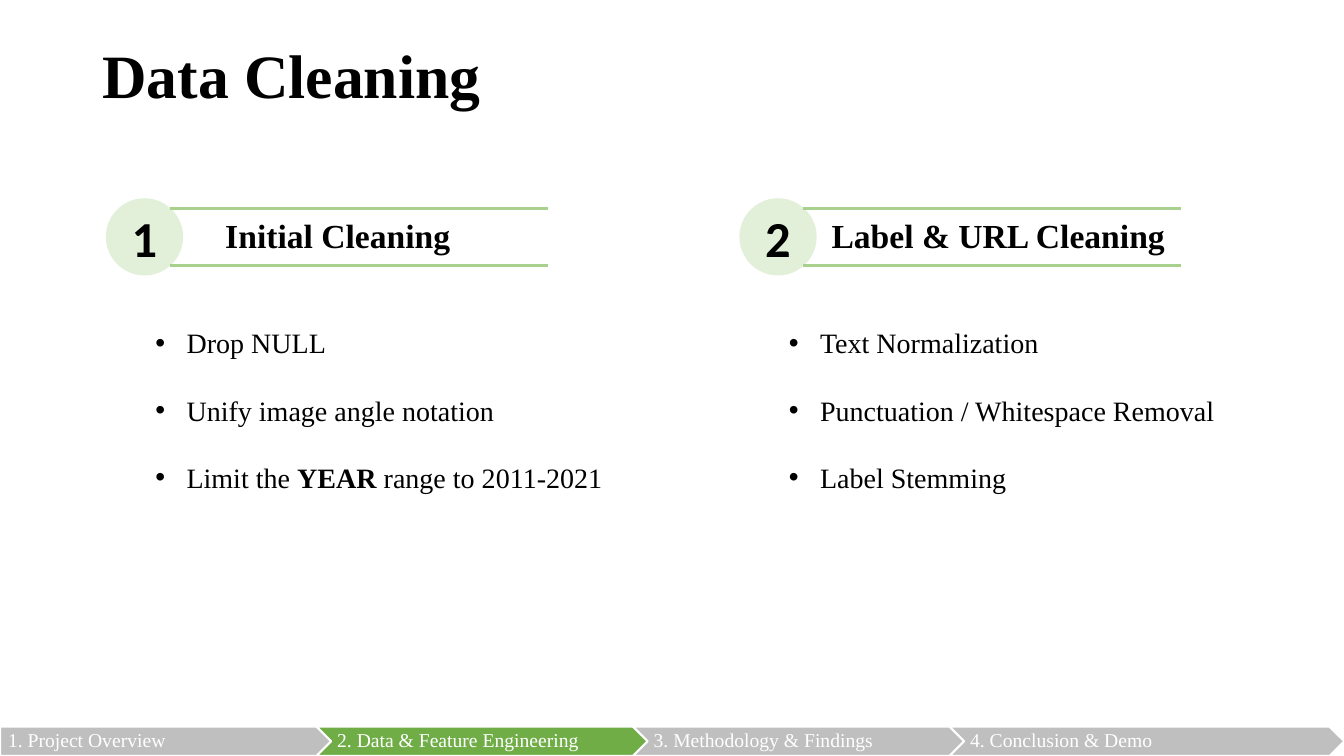
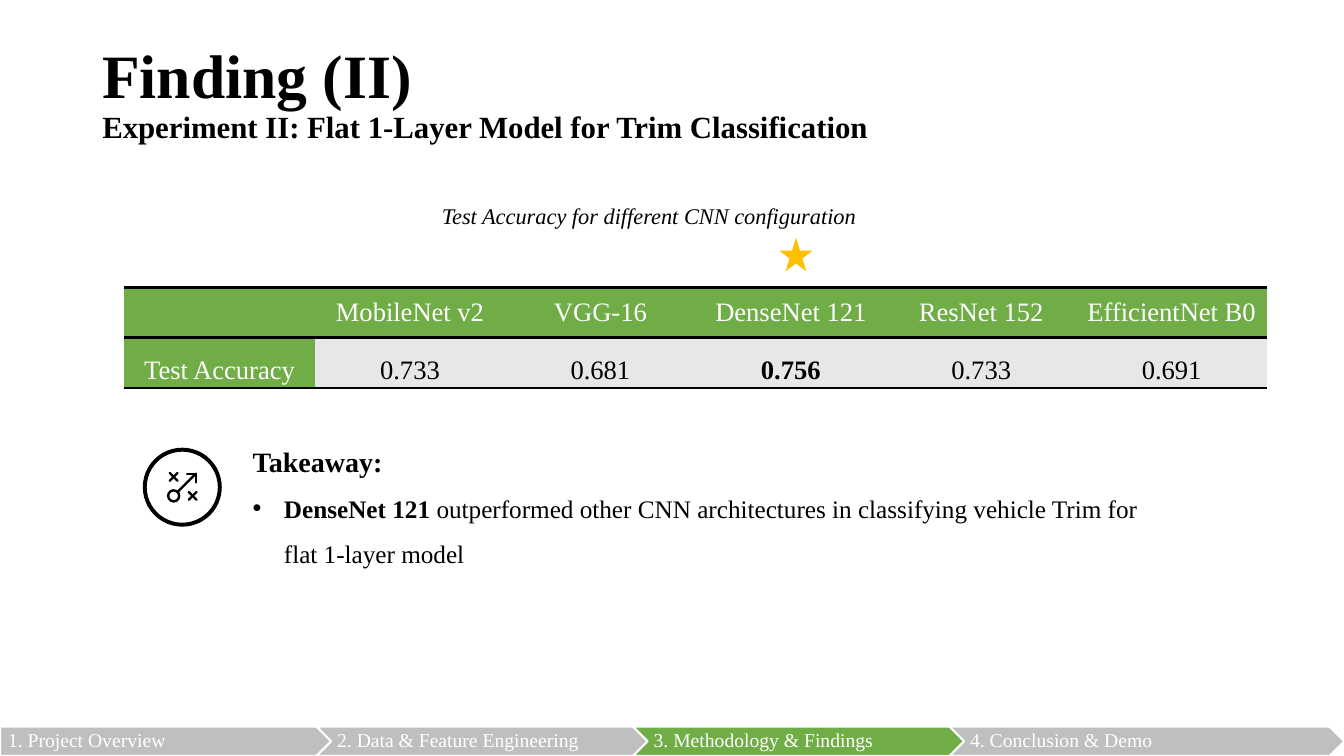
from dataclasses import dataclass

from lxml.etree import SubElement
from pptx import Presentation
from pptx.dml.color import RGBColor
from pptx.enum.shapes import MSO_CONNECTOR, MSO_SHAPE
from pptx.enum.text import MSO_ANCHOR, PP_ALIGN
from pptx.oxml.ns import qn
from pptx.util import Inches, Pt


@dataclass(frozen=True)
class Theme:
    serif: str = "Times New Roman"
    sans: str = "Calibri"
    black: str = "000000"
    white: str = "FFFFFF"
    grey: str = "BFBFBF"
    pale_grey: str = "E7E7E7"
    green: str = "70AD47"
    mid_green: str = "A9D18E"
    pale_green: str = "E2F0D9"
    gold: str = "FFC000"
    title: int = 44
    badge: int = 36
    heading: int = 24
    subtitle: int = 22
    body: int = 20
    cell: int = 19
    detail: int = 18
    caption: int = 16
    footer: int = 14


@dataclass(frozen=True)
class Box:
    x: float
    y: float
    w: float
    h: float

    def inner(self, x, y, w, h):
        return Box(self.x + x, self.y + y, w, h)

    def share(self, x, y, w=0, h=0):
        return self.inner(x * self.w, y * self.h, w * self.w, h * self.h)

    def emu(self):
        return [grid(v) for v in (self.x, self.y, self.w, self.h)]


T = Theme()
WIDTH, HEIGHT = Inches(13.33), Inches(7.5)
COLS, ROWS = 160, 90
STAGES = ["1. Project Overview", "2. Data & Feature Engineering",
          "3. Methodology & Findings", "4. Conclusion & Demo"]
PLAIN_TABLE = "{2D5ABB26-0587-4C30-8999-92F81FD0307C}"


def grid(units):
    return round(units * HEIGHT / ROWS)


def rgb(color):
    return RGBColor.from_string(color)


def style(r, size, color=T.black, bold=False, italic=False, font=T.serif):
    r.font.name, r.font.size = font, Pt(size)
    r.font.bold, r.font.italic = bold, italic
    r.font.color.rgb = rgb(color)


def write(p, text, size, align=PP_ALIGN.LEFT, **look):
    p.text = text
    p.alignment = align
    for r in p.runs:
        style(r, size, **look)


def write_bullet(p, pieces, size, spacing):
    p.line_spacing = spacing
    pPr = p._p.get_or_add_pPr()
    pPr.set("marL", str(Inches(0.31)))
    pPr.set("indent", str(-Inches(0.31)))
    SubElement(pPr, qn("a:buFont")).set("typeface", "Arial")
    SubElement(pPr, qn("a:buChar")).set("char", "•")
    for text, bold in pieces:
        r = p.add_run()
        r.text = text
        style(r, size, bold=bold)


def add_text(s, box):
    tf = s.shapes.add_textbox(*box.emu()).text_frame
    tf.word_wrap = True
    return tf


def add_shape(s, kind, box, fill=None, line=None, weight=1.5):
    sp = s.shapes.add_shape(kind, *box.emu())
    sp.shadow.inherit = False
    if fill:
        sp.fill.solid()
        sp.fill.fore_color.rgb = rgb(fill)
    else:
        sp.fill.background()
    if line:
        sp.line.color.rgb = rgb(line)
        sp.line.width = Pt(weight)
    else:
        sp.line.fill.background()
    return sp


def add_line(s, start, end, color, weight, cap="flat"):
    ln = s.shapes.add_connector(MSO_CONNECTOR.STRAIGHT, grid(start.x), grid(start.y),
                                grid(end.x), grid(end.y))
    ln.line.color.rgb = rgb(color)
    ln.line.width = Pt(weight)
    ln.line._get_or_add_ln().set("cap", cap)
    SubElement(ln._element.spPr, qn("a:effectLst"))


def add_title(s, box, title, subtitle=None):
    p = add_text(s, box).paragraphs[0]
    write(p, f"{title}\v{subtitle}" if subtitle else title, T.title, bold=True)
    p.line_spacing = 0.9
    if subtitle:
        p.runs[-1].font.size = Pt(T.subtitle)


def add_footer(s, box, active):
    arrow_w = 47
    step = (box.w - arrow_w) / (len(STAGES) - 1)
    for i, stage in enumerate(STAGES):
        kind = MSO_SHAPE.CHEVRON if i else MSO_SHAPE.PENTAGON
        sp = add_shape(s, kind, box.inner(i * step, 0, arrow_w, box.h),
                       T.green if i == active else T.grey, T.white)
        tf = sp.text_frame
        tf.vertical_anchor = MSO_ANCHOR.MIDDLE
        tf.margin_left = Inches(0.06 if i else 0.08)
        tf.margin_right = Inches(0.02)
        tf.margin_top = tf.margin_bottom = Inches(0.04)
        write(tf.paragraphs[0], stage, T.footer, color=T.white)
        tf.paragraphs[0].line_spacing = 0.9


def add_section(s, box, number, heading, heading_x, heading_w, items):
    badge = add_shape(s, MSO_SHAPE.OVAL, box.inner(0, 0, 9.2, 9.2), T.pale_green)
    badge.text_frame.vertical_anchor = MSO_ANCHOR.MIDDLE
    write(badge.text_frame.paragraphs[0], str(number), T.badge, PP_ALIGN.CENTER,
          bold=True, font=T.sans)
    for y in (1.2, 8):
        add_line(s, box.inner(7.6, y, 0, 0), box.inner(52.6, y, 0, 0), T.mid_green, 2.25)
    tf = add_text(s, box.inner(heading_x, 1.4, heading_w, 6.6))
    write(tf.paragraphs[0], heading, T.heading, PP_ALIGN.CENTER, bold=True)
    tf = add_text(s, box.inner(4.7, 10.6, box.w - 4.7, box.h - 10.6))
    for i, pieces in enumerate(items):
        p = tf.add_paragraph() if i else tf.paragraphs[0]
        write_bullet(p, pieces, T.body, 2)


def add_border(cell, side):
    ln = SubElement(cell._tc.get_or_add_tcPr(), qn(f"a:{side}"), w=str(Pt(2)))
    SubElement(SubElement(ln, qn("a:solidFill")), qn("a:srgbClr")).set("val", T.black)


def add_results(s, box, rows, best):
    frame = s.shapes.add_table(len(rows), len(rows[0]), *box.emu())
    table = frame.table
    table.first_row = table.horz_banding = False
    frame._element.xpath(".//a:tableStyleId")[0].text = PLAIN_TABLE
    for i, row in enumerate(rows):
        for j, text in enumerate(row):
            cell = table.cell(i, j)
            label = i == 0 or j == 0
            for side in ("lnT", "lnB"):
                add_border(cell, side)
            cell.fill.solid()
            cell.fill.fore_color.rgb = rgb(T.green if label else T.pale_grey)
            cell.vertical_anchor = MSO_ANCHOR.MIDDLE
            cell.margin_top = cell.margin_bottom = 0
            p = cell.text_frame.paragraphs[0]
            write(p, text, T.cell, PP_ALIGN.CENTER,
                  color=T.white if label else T.black, bold=not label and j == best)
            if i:
                p.line_spacing = 1.5
    col_w = box.w / len(rows[0])
    add_shape(s, MSO_SHAPE.STAR_5_POINT,
              box.inner((best + 0.5) * col_w - 1.4, -5.9, 4, 4), T.gold)


def add_strategy_icon(s, box):
    ring = add_shape(s, MSO_SHAPE.DONUT, box, T.black)
    ring.adjustments[0] = 0.05
    add_shape(s, MSO_SHAPE.OVAL, box.share(0.32, 0.54, 0.14, 0.14), line=T.black, weight=1.7)
    strokes = [(0.45, 0.55, 0.67, 0.33), (0.56, 0.33, 0.67, 0.33), (0.67, 0.33, 0.67, 0.44)]
    for x, y in ((0.34, 0.32), (0.58, 0.56)):
        strokes += [(x, y, x + 0.1, y + 0.1), (x, y + 0.1, x + 0.1, y)]
    for x1, y1, x2, y2 in strokes:
        add_line(s, box.share(x1, y1), box.share(x2, y2), T.black, 1.7, "rnd")


def add_takeaway(s, box, pieces):
    add_strategy_icon(s, box.inner(0, 1, 9.4, 9.4))
    tf = add_text(s, box.inner(11.9, 0, box.w - 11.9, box.h))
    write(tf.paragraphs[0], "Takeaway:", T.body, bold=True)
    write_bullet(tf.add_paragraph(), pieces, T.detail, 1.5)


def new_slide(prs, active, title, subtitle=None):
    s = prs.slides.add_slide(prs.slide_layouts[6])
    add_title(s, Box(11, 4.8, 138, 17.4), title, subtitle)
    add_footer(s, Box(0, 86.5, COLS, 3.5), active)
    return s


def build_cleaning(prs):
    s = new_slide(prs, 1, "Data Cleaning")
    add_section(s, Box(12.6, 23.6, 63.4, 34.8), 1, "Initial Cleaning", 8, 39.2, [
        [("Drop NULL", False)],
        [("Unify image angle notation", False)],
        [("Limit the ", False), ("YEAR", True), (" range to 2011-2021", False)],
    ])
    add_section(s, Box(88, 23.6, 63.4, 34.8), 2, "Label & URL Cleaning", 4.8, 52, [
        [("Text Normalization", False)],
        [("Punctuation / Whitespace Removal", False)],
        [("Label Stemming", False)],
    ])


def build_finding(prs):
    s = new_slide(prs, 2, "Finding (II)",
                  "Experiment II: Flat 1-Layer Model for Trim Classification")
    tf = add_text(s, Box(51.4, 23.5, 55.7, 4.4))
    write(tf.paragraphs[0], "Test Accuracy for different CNN configuration",
          T.caption, italic=True)
    add_results(s, Box(14.8, 34.2, 136, 12), [
        ["", "MobileNet v2", "VGG-16", "DenseNet 121", "ResNet 152", "EfficientNet B0"],
        ["Test Accuracy", "0.733", "0.681", "0.756", "0.733", "0.691"],
    ], best=3)
    add_takeaway(s, Box(17, 52.3, 119.9, 15.7), [
        ("DenseNet 121 ", True),
        ("outperformed other CNN architectures in classifying vehicle Trim for "
         "flat 1-layer model", False),
    ])


def main():
    prs = Presentation()
    prs.slide_width, prs.slide_height = WIDTH, HEIGHT
    build_cleaning(prs)
    build_finding(prs)
    prs.save("out.pptx")


if __name__ == "__main__":
    main()
